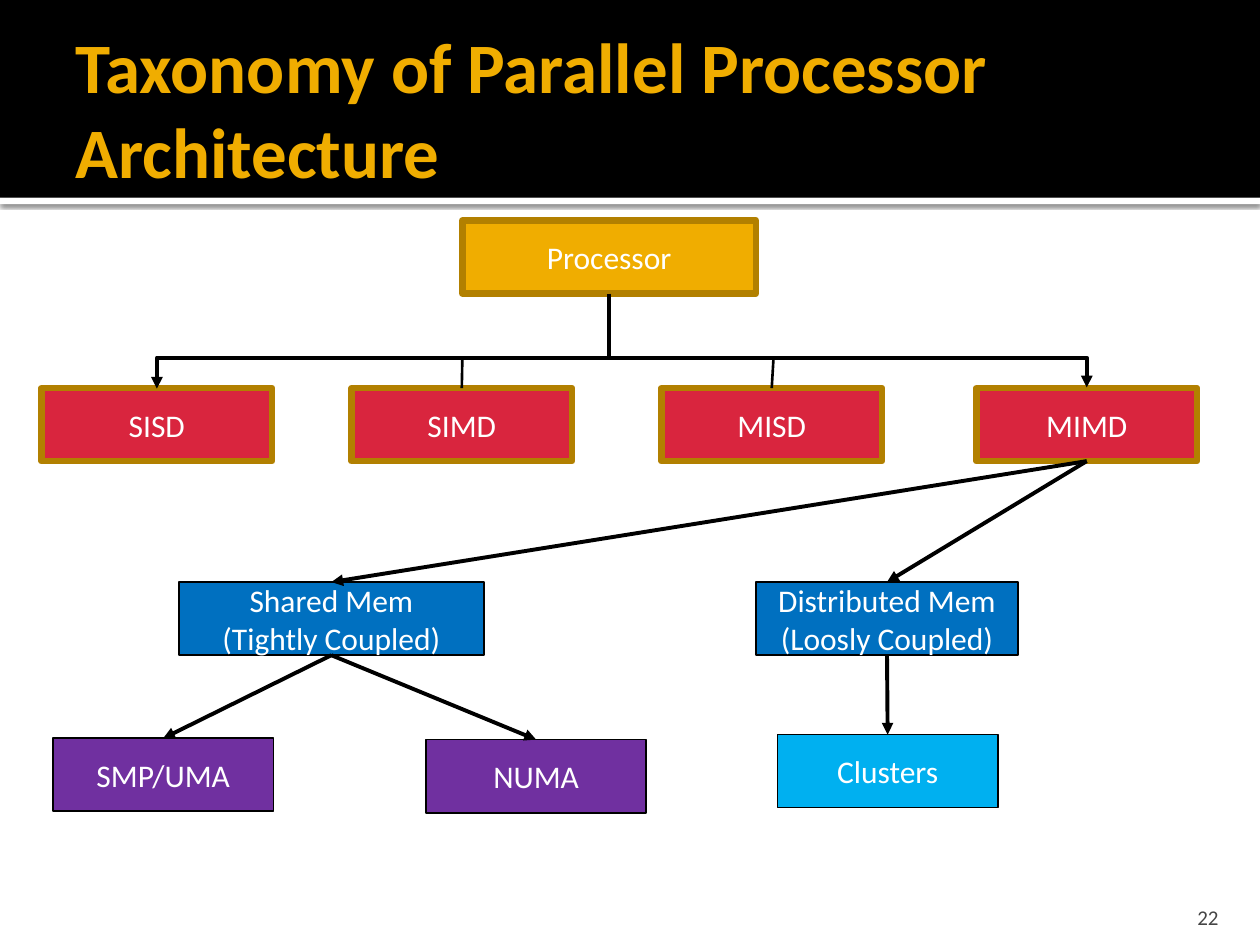
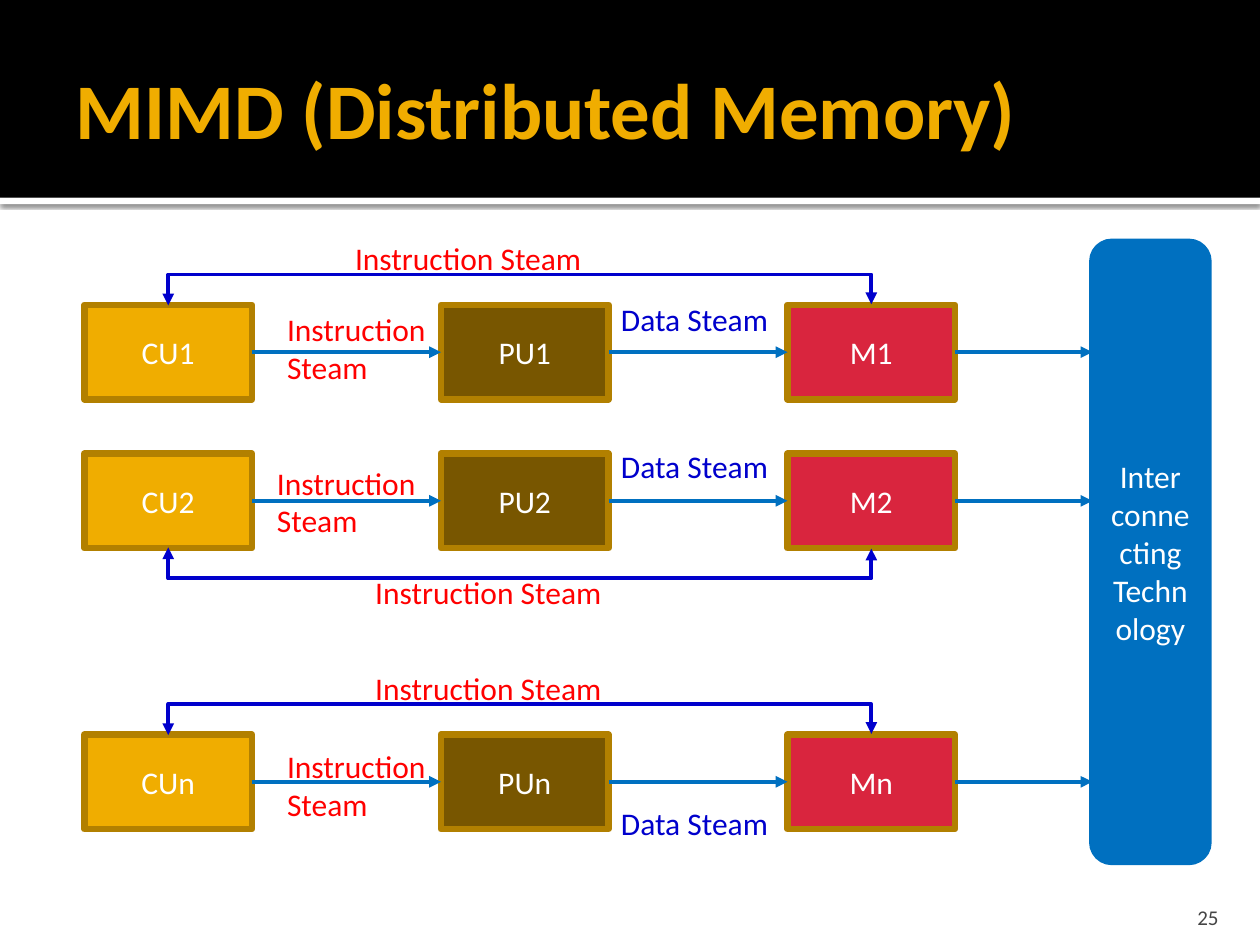
"""Build two slides on parallel processor architecture."""
from typing import NamedTuple

from lxml.etree import SubElement
from pptx import Presentation
from pptx.dml.color import RGBColor
from pptx.enum.shapes import MSO_CONNECTOR as Link, MSO_SHAPE as Preset
from pptx.enum.text import MSO_ANCHOR as Anchor, MSO_AUTO_SIZE as Fit, PP_ALIGN as Align
from pptx.oxml.ns import qn
from pptx.util import Inches, Pt

BLACK = RGBColor(0x00, 0x00, 0x00)
WHITE = RGBColor(0xFF, 0xFF, 0xFF)
GOLD = RGBColor(0xF0, 0xAD, 0x00)
DARK_GOLD = RGBColor(0xB2, 0x80, 0x00)
BROWN = RGBColor(0x78, 0x56, 0x00)
CRIMSON = RGBColor(0xD9, 0x25, 0x3E)
BLUE = RGBColor(0x00, 0x70, 0xC0)
SKY = RGBColor(0x00, 0xB0, 0xF0)
PURPLE = RGBColor(0x70, 0x30, 0xA0)
RED = RGBColor(0xFF, 0x00, 0x00)
NAVY = RGBColor(0x00, 0x00, 0xCC)
GREY = RGBColor(0x45, 0x45, 0x45)

FONT = "Calibri"
WIDTH, HEIGHT, BAND = 10, 7.5, 1.57
TOP, LEFT, BOTTOM, RIGHT = range(4)
THICK, THIN = (DARK_GOLD, 3.78), (BLACK, 1)
ELBOW_DEPTH, ELBOW_SLACK = 0.25, 0.01

NODE_HEIGHT = 0.58
TAXONOMY = {
    "Processor": (3.67, 1.75, 2.33, GOLD, THICK),
    "SISD": (0.33, 3.08, 1.83, CRIMSON, THICK),
    "SIMD": (2.79, 3.08, 1.75, CRIMSON, THICK),
    "MISD": (5.25, 3.08, 1.75, CRIMSON, THICK),
    "MIMD": (7.75, 3.08, 1.75, CRIMSON, THICK),
    "Shared Mem\n(Tightly Coupled)": (1.42, 4.62, 2.42, BLUE, THIN),
    "Distributed Mem (Loosly Coupled)": (6, 4.62, 2.08, BLUE, THIN),
    "Clusters": (6.17, 5.83, 1.75, SKY, THIN),
    "SMP/UMA": (0.42, 5.86, 1.75, PURPLE, THIN),
    "NUMA": (3.38, 5.87, 1.75, PURPLE, THIN),
}
BRANCHES = [
    ("MIMD", "Shared Mem\n(Tightly Coupled)"),
    ("MIMD", "Distributed Mem (Loosly Coupled)"),
    ("Shared Mem\n(Tightly Coupled)", "SMP/UMA"),
    ("Shared Mem\n(Tightly Coupled)", "NUMA"),
    ("Distributed Mem (Loosly Coupled)", "Clusters"),
]
BUS_Y = 2.83
BUS_DROPS = [("SIMD", 3.67), ("MISD", 6.14)]

UNIT_SIZE = (1.33, 0.75)
UNIT_COLUMNS = [("CU", 0.67, GOLD), ("PU", 3.5, BROWN), ("M", 6.25, CRIMSON)]
UNIT_ROWS = [
    {"suffix": "1", "top": 2.42, "above": True, "step": (2.18, 2.41),
     "data": 2.33, "loop": (2.72, 1.85)},
    {"suffix": "2", "top": 3.6, "above": False, "step": (2.1, 3.63),
     "data": 3.5, "loop": (2.88, 4.5)},
    {"suffix": "n", "top": 5.83, "above": True, "step": (2.18, 5.88),
     "data": 6.33, "loop": (2.88, 5.26)},
]
HUB = (8.67, 1.92, 0.92, 4.92)


class Side(NamedTuple):
    """The middle of one side of a box."""
    box: object
    site: int


def inches(*lengths):
    """Turn numbers into slide lengths."""
    return [Inches(length) for length in lengths]


def write(frame, text, size, color, align=Align.LEFT, bold=False):
    """Fill a text frame, one paragraph a line."""
    for index, words in enumerate(text.split("\n")):
        para = frame.add_paragraph() if index else frame.paragraphs[0]
        para.alignment = align
        span = para.add_run()
        span.text = words
        span.font.name, span.font.size = FONT, Pt(size)
        span.font.bold, span.font.color.rgb = bold, color


def add_box(page, at, fill, outline=None, text="", preset=Preset.RECTANGLE):
    """Add a filled shape with centred white text."""
    box = page.shapes.add_shape(preset, *inches(*at))
    box.shadow.inherit = False
    box.fill.solid()
    box.fill.fore_color.rgb = fill
    if outline:
        box.line.color.rgb, box.line.width = outline[0], Pt(outline[1])
    else:
        box.line.fill.background()
    if text:
        box.text_frame.word_wrap = True
        box.text_frame.vertical_anchor = Anchor.MIDDLE
        write(box.text_frame, text, 18, WHITE, Align.CENTER)
    return box


def add_label(page, at, text, color):
    """Add a wrapped text label."""
    frame = page.shapes.add_textbox(*inches(*at)).text_frame
    frame.word_wrap = True
    frame.auto_size = Fit.SHAPE_TO_FIT_TEXT
    write(frame, text, 18, color)


def style_line(line, color, width, arrows):
    """Colour a connector and give it the named arrowheads."""
    line.line.color.rgb, line.line.width = color, Pt(width)
    for end in arrows:
        SubElement(line.line._get_or_add_ln(), qn(f"a:{end}"), type="triangle")
    SubElement(line._element.spPr, qn("a:effectLst"))


def add_link(page, start, end, color=BLACK, width=2.25, arrows=("tailEnd",)):
    """Draw a straight line between points or box sides."""
    points = [(0, 0) if isinstance(place, Side) else place for place in (start, end)]
    line = page.shapes.add_connector(Link.STRAIGHT, *inches(*points[0], *points[1]))
    if isinstance(start, Side):
        line.begin_connect(*start)
    if isinstance(end, Side):
        line.end_connect(*end)
    style_line(line, color, width, arrows)


def add_bracket(page, left, right, y, color, above=True):
    """Draw a two-headed elbow that leaves and returns at height y."""
    middle, half = (left + right) / 2, (right - left) / 2
    slack = ELBOW_SLACK / 2
    ends = (y + half, y - half) if above else (y - half, y + half)
    line = page.shapes.add_connector(
        Link.ELBOW, *inches(middle + slack, ends[0], middle - slack, ends[1]))
    shape = line._element.spPr
    shape.find(qn("a:xfrm")).set("rot", str((90 if above else 270) * 60000))
    guides = shape.find(qn("a:prstGeom")).find(qn("a:avLst"))
    share = round(ELBOW_DEPTH / ELBOW_SLACK * 100000)
    SubElement(guides, qn("a:gd"), name="adj1", fmla=f"val {share}")
    style_line(line, color, 2.25, ("headEnd", "tailEnd"))


def add_strip_shadow(strip):
    """Give the strip under the band a soft shadow."""
    effects = strip._element.spPr.find(qn("a:effectLst"))
    shadow = SubElement(effects, qn("a:outerShdw"), blurRad=str(Pt(2.5)),
                        dist=str(Pt(0.8)), dir="5400000", algn="tl", rotWithShape="0")
    tint = SubElement(shadow, qn("a:srgbClr"), val=str(BLACK))
    SubElement(tint, qn("a:alpha"), val="60000")


def dress_layout(layout, page):
    """Move the header band to the layout behind all slide content."""
    band = add_box(page, (0, 0, WIDTH, BAND), BLACK)
    strip = add_box(page, (0, BAND, WIDTH, 0.05), WHITE)
    add_strip_shadow(strip)
    for number, part in enumerate((band, strip), 101):
        part._element.nvSpPr.cNvPr.set("id", str(number))
        layout.shapes._spTree.insert(2, part._element)


def add_page(deck, title, size, number):
    """Add a slide with its title and number."""
    page = deck.slides.add_slide(deck.slide_layouts[5])
    head = page.shapes.title
    head.left, head.top, head.width, head.height = inches(0.5, 0.17, 9, 1.37)
    frame = head.text_frame
    frame.auto_size, frame.word_wrap = Fit.NONE, True
    frame.vertical_anchor = Anchor.MIDDLE
    frame.margin_left, frame.margin_right = inches(0.1, 0.05)
    write(frame, title, size, GOLD, bold=True)
    foot = page.shapes.add_textbox(*inches(8.97, 7.08, 0.8, 0.3)).text_frame
    foot.word_wrap, foot.vertical_anchor = True, Anchor.BOTTOM
    foot.margin_bottom = 0
    write(foot, number, 12, GREY, Align.RIGHT)
    return page


def draw_taxonomy(page):
    """Draw the tree of processor classes."""
    nodes = {name: add_box(page, (x, y, width, NODE_HEIGHT), fill, outline, name)
             for name, (x, y, width, fill, outline) in TAXONOMY.items()}
    centers = {name: x + width / 2 for name, (x, y, width, *_) in TAXONOMY.items()}
    add_bracket(page, centers["SISD"], centers["MIMD"], TAXONOMY["SISD"][1], BLACK)
    add_link(page, Side(nodes["Processor"], BOTTOM),
             (centers["Processor"], BUS_Y), arrows=())
    for name, x in BUS_DROPS:
        add_link(page, (x, BUS_Y), Side(nodes[name], TOP), width=1.5, arrows=())
    for parent, child in BRANCHES:
        add_link(page, Side(nodes[parent], BOTTOM), Side(nodes[child], TOP))


def draw_distributed(page):
    """Draw rows of control, processing and memory units joined to a hub."""
    width, height = UNIT_SIZE
    add_box(page, HUB, BLUE, (BLUE, 3.78), "Inter connecting Technology",
            Preset.ROUNDED_RECTANGLE)
    first, last = (UNIT_COLUMNS[i][1] + width / 2 for i in (0, -1))
    for row in UNIT_ROWS:
        top = row["top"]
        units = [add_box(page, (x, top, width, height), fill, THICK, name + row["suffix"])
                 for name, x, fill in UNIT_COLUMNS]
        for unit, following in zip(units, units[1:]):
            add_link(page, Side(unit, RIGHT), Side(following, LEFT), BLUE)
        add_link(page, Side(units[-1], RIGHT), (HUB[0], top + height / 2), BLUE)
        edge = top if row["above"] else top + height
        add_bracket(page, first, last, edge, NAVY, row["above"])
        add_label(page, (*row["step"], 1.4, 0.71), "Instruction Steam", RED)
        add_label(page, (4.83, row["data"], 1.46, 0.4), "Data Steam", NAVY)
        add_label(page, (*row["loop"], 2.7, 0.4), "Instruction Steam", RED)


def main():
    """Build and save the deck."""
    deck = Presentation()
    deck.slide_width, deck.slide_height = inches(WIDTH, HEIGHT)
    taxonomy = add_page(deck, "Taxonomy of Parallel Processor Architecture", 40.5, "22")
    dress_layout(deck.slide_layouts[5], taxonomy)
    draw_taxonomy(taxonomy)
    draw_distributed(add_page(deck, "MIMD (Distributed Memory)", 45, "25"))
    deck.save("out.pptx")


if __name__ == "__main__":
    main()
